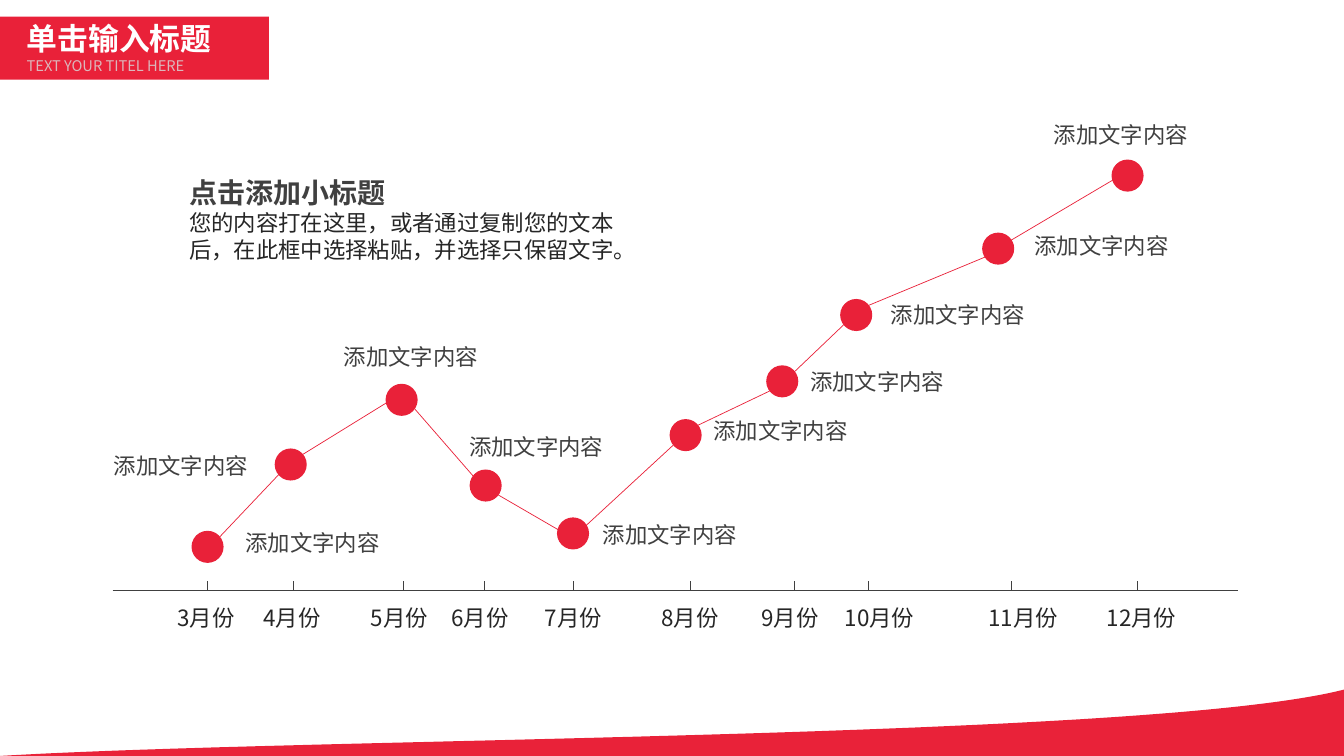
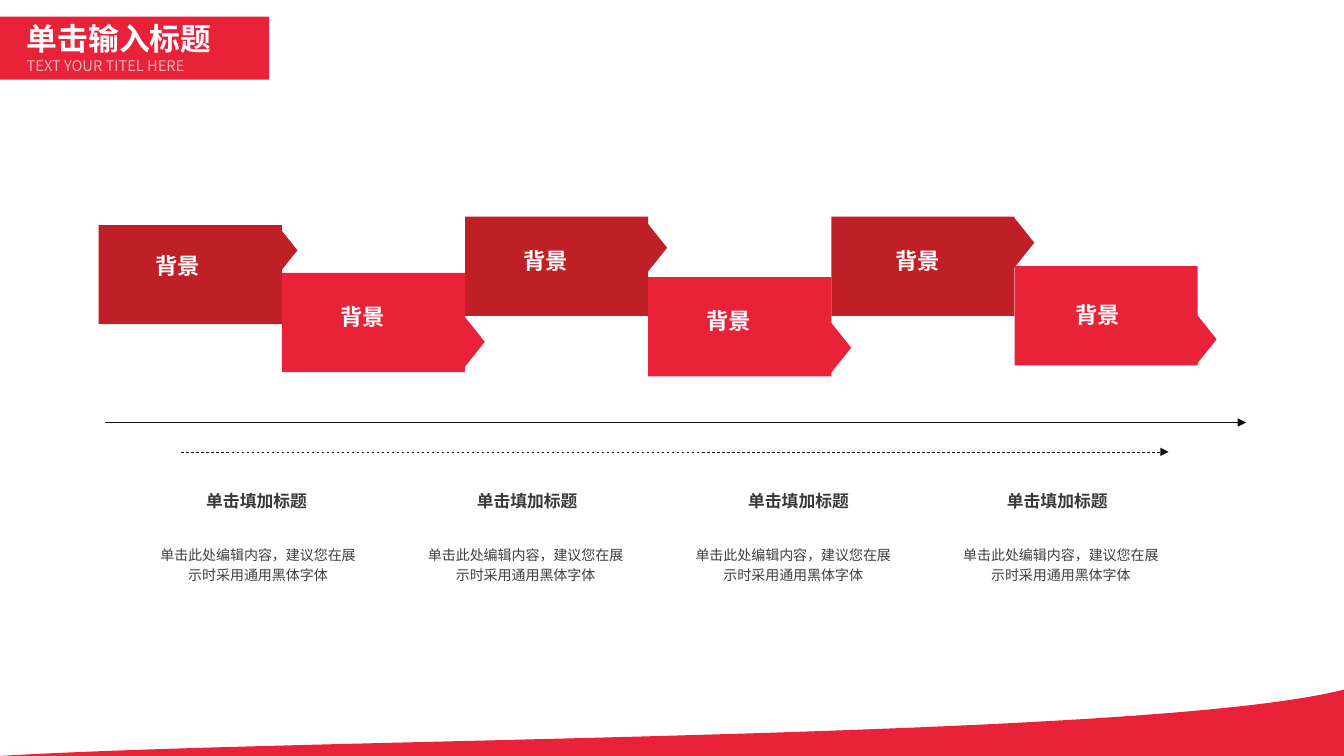
from math import cos, radians, sin

from lxml.etree import SubElement
from pptx import Presentation as Deck
from pptx.dml.color import RGBColor as Rgb
from pptx.enum.dml import MSO_LINE as Dash
from pptx.enum.shapes import MSO_CONNECTOR as Link, MSO_SHAPE as Form
from pptx.enum.text import MSO_ANCHOR as Anchor, MSO_AUTO_SIZE as Fit, PP_ALIGN as Align
from pptx.oxml.ns import qn
from pptx.util import Inches, Pt

COLS, ROWS = 160, 90  # grid of the slide


class Theme:
    """Colours, font and type sizes."""
    font = "Noto Sans CJK SC"
    red, dark, wave = "E92139", "BF1F26", "E92239"
    white, pale = "FFFFFF", "D9D9D9"
    ink, grey, head, black = "262626", "404040", "3B3838", "0D0D0D"
    title, lead, body, card, tag, small = 22, 20, 16, 12, 10.5, 10


TIGHT = {"margin_left": Inches(0.07), "margin_right": Inches(0.07),
         "margin_top": Inches(0.04), "margin_bottom": Inches(0.04)}
BARE = dict.fromkeys(TIGHT, 0)


def apply(thing, vals):
    for key, val in vals.items():
        setattr(thing, key, val)


class Page:
    """The style and the current slide."""

    def __init__(self, deck, theme):
        self.deck, self.theme = deck, theme
        deck.slide_width, deck.slide_height = Inches(13.33), Inches(7.5)
        self.unit = deck.slide_height / ROWS
        self.wide = deck.slide_width / self.unit

    def cells(self, *vals):
        return [round(val * self.unit) for val in vals]

    def start(self, title, tag):
        """Add a slide with its band, title, tag line and wave."""
        th = self.theme
        self.slide = self.deck.slides.add_slide(self.deck.slide_layouts[5])
        self.shapes = self.slide.shapes
        self.shape(Form.RECTANGLE, (0, 2, 32, 7.5), th.red)
        line = self.text((2, 6.2, 24.6, 3.4), tag, th.tag, th.pale, align=Align.JUSTIFY)
        tint = line.font.fill._xPr.find(".//" + qn("a:srgbClr"))
        SubElement(tint, qn("a:alpha"), val="82000")
        name = self.shapes.title
        self.shapes.element.append(name.element)  # in front of the band
        apply(name, dict(zip(("left", "top", "width", "height"),
                             self.cells(2, 1.7, 24.6, 5.6))))
        self.fill(name, title, th.title, th.white, bold=True)
        self.curve()

    def curve(self):
        """Wave along the foot of the slide, from a cubic curve."""
        knots = ((self.wide, 82.1), (137, 88), (36.6, 87.8), (0, ROWS))
        spots = []
        for step in range(1, 81):
            t = step / 80
            parts = ((1 - t) ** 3, 3 * t * (1 - t) ** 2, 3 * t * t * (1 - t), t ** 3)
            spots.append(self.cells(*(sum(w * k[i] for w, k in zip(parts, knots))
                                      for i in (0, 1))))
        pen = self.shapes.build_freeform(*self.cells(self.wide, ROWS))
        pen.add_line_segments([self.cells(*knots[0])] + spots, close=True)
        self.paint(pen.convert_to_shape(), self.theme.wave)

    def paint(self, item, color, edge=0):
        item.shadow.inherit = False
        item.fill.solid()
        item.fill.fore_color.rgb = Rgb.from_string(color)
        if edge:
            item.line.color.rgb = Rgb.from_string(color)
            item.line.width = Pt(edge)
        else:
            item.line.fill.background()

    def shape(self, form, box, color, edge=0, turn=0):
        item = self.shapes.add_shape(form, *self.cells(*box))
        item.rotation = turn
        self.paint(item, color, edge)

    def fill(self, item, text, size, color, bold=False, align=Align.LEFT,
             space=None, pad=None):
        frame = item.text_frame
        apply(frame, {"word_wrap": True, "auto_size": Fit.NONE,
                      "vertical_anchor": Anchor.TOP, **(pad or {})})
        frame.text = text
        return self.style(frame.paragraphs[0], size, color, bold, align, space)

    def style(self, para, size, color, bold=False, align=Align.LEFT, space=None):
        apply(para, {"alignment": align, "line_spacing": space})
        run = para.runs[0]
        apply(run.font, {"size": Pt(size), "bold": bold, "name": self.theme.font})
        run.font.color.rgb = Rgb.from_string(color)
        SubElement(run.font._element, qn("a:ea"), typeface=self.theme.font)
        return run

    def text(self, box, text, size, color, **more):
        item = self.shapes.add_textbox(*self.cells(*box))
        return self.fill(item, text, size, color, **more)

    def add(self, text, size, color):
        """Add a paragraph to the newest text box."""
        para = self.shapes[-1].text_frame.add_paragraph()
        para.add_run().text = text
        self.style(para, size, color)

    def line(self, start, end, color, dash=None, arrow=False):
        item = self.shapes.add_connector(Link.STRAIGHT, *self.cells(*start, *end))
        apply(item.line, {"width": Pt(0.5), "dash_style": dash})
        item.line.color.rgb = Rgb.from_string(color)
        if arrow:
            SubElement(item.line._get_or_add_ln(), qn("a:tailEnd"), type="triangle")
        SubElement(item.element.spPr, qn("a:effectLst"))


# Month, dot centre, angles where the line arrives and leaves,
# left and top of the label, tick, left of the month
MONTHS = [
    (3, (24.7, 65.1), 0, -39, (28.4, 62.5), 24.7, 20.3),
    (4, (34.6, 55.3), 140, -40, (12.7, 53.3), 34.9, 30.5),
    (5, (47.8, 47.6), 169, 34, (40.1, 40.4), 48, 43.3),
    (6, (57.8, 57.8), 217, 37, (55, 51.1), 57.7, 52.9),
    (7, (68.2, 63.5), 194, -31, (70.9, 61.6), 68.3, 64),
    (8, (81.6, 51.8), 141, -39, (84.1, 49.2), 82.2, 77.9),
    (9, (93.1, 45.4), 142, -38, (95.6, 43.3), 94.6, 89.8),
    (10, (101.9, 37.5), 142, -38, (105.2, 35.4), 103.3, 99.7),
    (11, (118.8, 29.6), 147, -33, (122.3, 27.1), 120.4, 116.8),
    (12, (134.2, 20.9), 163, 0, (124.6, 14), 135.4, 130.9),
]
DOT = 3.65


def rim(spot, angle):
    turn = radians(angle)
    return spot[0] + DOT / 2 * cos(turn), spot[1] + DOT / 2 * sin(turn)


def trend(page):
    """Dots by month above a time axis."""
    th = page.theme
    axis = 70.3
    page.line((13.4, axis), (147.3, axis), th.grey)
    for num, (x, y), _, _, label, tick, left in MONTHS:
        page.shape(Form.OVAL, (x - DOT / 2, y - DOT / 2, DOT, DOT), th.red, edge=1)
        page.text((*label, 18, 4.1), "添加文字内容", th.body, th.grey, pad=TIGHT)
        page.line((tick, axis), (tick, axis - 1.1), th.grey)
        page.text((left, 71.4, 8.6 if num < 10 else 10.1, 4.1), f"{num}月份",
                  th.body, th.ink, pad=TIGHT)
    for now, then in zip(MONTHS, MONTHS[1:]):
        page.line(rim(now[1], now[3]), rim(then[1], then[2]), th.red)
    page.text((21.7, 16.4, 52.6, 15.5), "点击添加小标题", th.lead, th.grey,
              bold=True, space=2.0, pad=TIGHT)
    page.add("您的内容打在这里，或者通过复制您的文本后，在此框中选择粘贴，并选择只保留文字。",
             th.body, th.ink)


# Top of each block, centre of its tip, left and top of its word
BLOCKS = [
    (26.8, (34.2, 29.8), (17.3, 29.4)),
    (32.5, (56.5, 40.7), (39.3, 35.5)),
    (25.8, (78.2, 29.5), (61.1, 28.8)),
    (33, (100.1, 41.4), (82.9, 36)),
    (25.8, (121.9, 28.9), (105.4, 28.8)),
    (31.7, (143.6, 40.4), (126.8, 35.2)),
]
HEADS = (19.4, 51.6, 83.9, 114.7)


def steps(page):
    """Stepped blocks, two arrows and four notes."""
    th = page.theme
    for x, end, y, dash in ((12.5, 148.3, 50.3, None), (21.6, 139.1, 53.8, Dash.DASH)):
        page.line((x, y), (end, y), th.black, dash, arrow=True)
    for i, (top, (x, y), word) in enumerate(BLOCKS):
        color = (th.dark, th.red)[i % 2]
        page.shape(Form.RECTANGLE, (11.75 + 21.8 * i, top, 21.8, 11.8), color)
        page.shape(Form.ISOSCELES_TRIANGLE, (x - 3, y - 1.2, 6, 2.4), color, turn=90)
        page.text((*word, 7.8, 4.4), "背景", th.body, th.white, bold=True)
    for i, left in enumerate(HEADS):
        page.text((left, 58, 22.3, 3.6), "单击填加标题", th.card, th.head, bold=True,
                  align=Align.CENTER, space=1.2, pad=BARE)
        page.text((17.3 + 31.85 * i, 64.1, 26.8, 5.9),
                  "单击此处编辑内容，建议您在展示时采用通用黑体字体", th.small, th.grey,
                  align=Align.CENTER, space=1.2)


def main():
    deck = Deck()
    page = Page(deck, Theme())
    for draw in (trend, steps):
        page.start("单击输入标题", "TEXT YOUR TITEL HERE")
        draw(page)
    deck.save("out.pptx")


if __name__ == "__main__":
    main()
